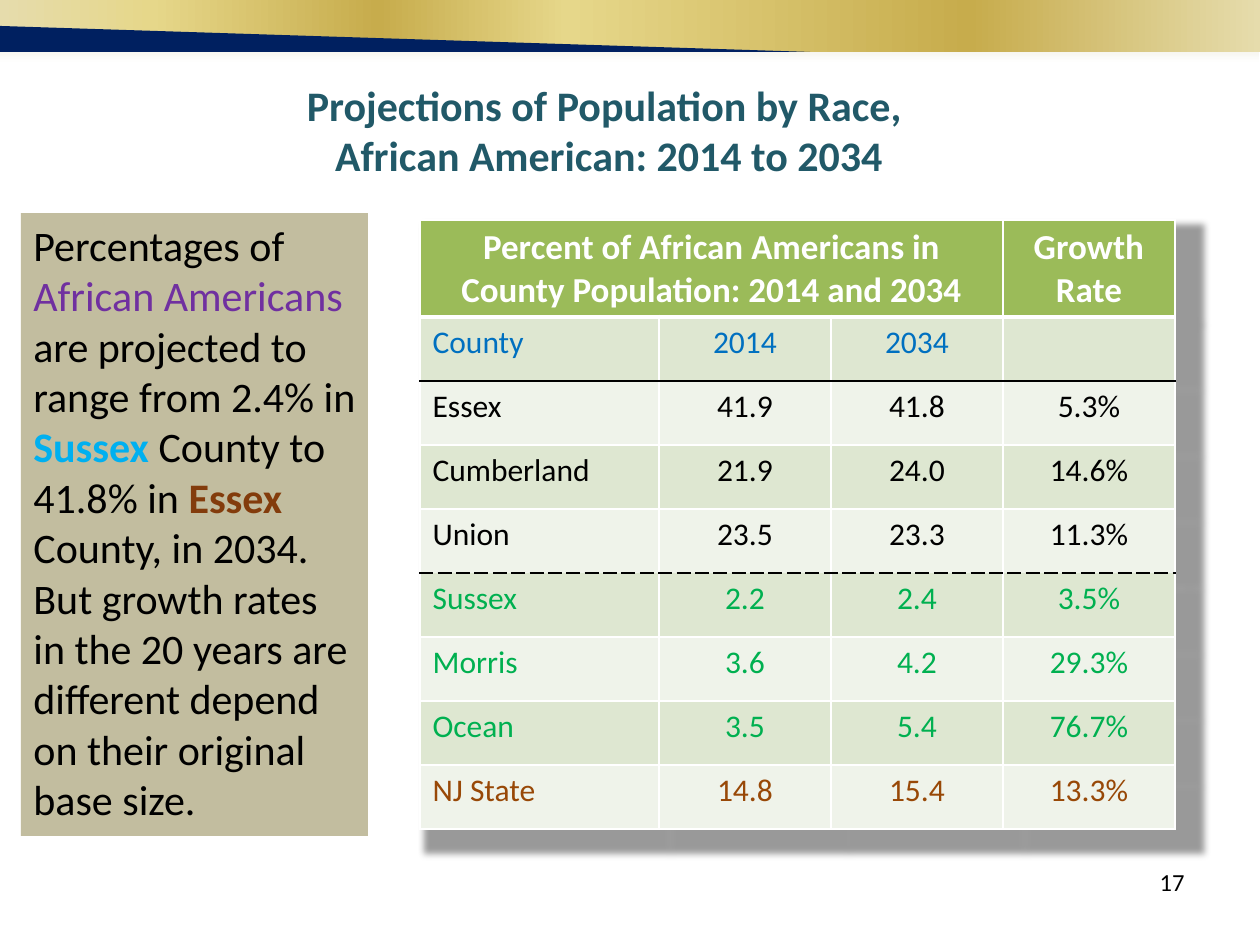
from lxml.etree import SubElement
from pptx import Presentation
from pptx.dml.color import RGBColor
from pptx.enum.shapes import MSO_SHAPE
from pptx.enum.text import MSO_ANCHOR, PP_ALIGN
from pptx.oxml.ns import qn
from pptx.util import Emu, Pt

EMU_PER_PX = 914400 / 126
COLORS = {
    "white": "FFFFFF", "black": "000000", "navy": "002060", "cream": "EEECE1",
    "gold_pale": "E6DCAC", "gold_light": "E6D78A", "gold_dark": "C7AC4C",
    "khaki": "948A54", "teal": "215968", "purple": "7030A0", "sky": "00B0F0",
    "brown": "833C0C", "rust": "984807", "blue": "0070C0", "green": "00B050",
    "header": "9BBB59", "band_dark": "DEE7D1", "band_light": "EFF3EA",
}


def px(n):
    return Emu(round(n * EMU_PER_PX))


def rgb(name):
    return RGBColor.from_string(COLORS[name])


def add_xml(parent, tag, **attrs):
    return SubElement(parent, qn(tag), {k: str(v) for k, v in attrs.items()})


def add_color(parent, name, alpha=None):
    clr = add_xml(parent, "a:srgbClr", val=COLORS[name])
    if alpha is not None:
        add_xml(clr, "a:alpha", val=alpha * 1000)


class SlideBuilder:
    font = "Calibri"

    def __init__(self, slide):
        self.s = slide

    def plain(self, sp, color=None):
        sp.shadow.inherit = False
        sp.line.fill.background()
        if color:
            sp.fill.solid()
            sp.fill.fore_color.rgb = rgb(color)
        return sp

    def rect(self, x, y, w, h, color=None, alpha=None):
        sp = self.s.shapes.add_shape(MSO_SHAPE.RECTANGLE, px(x), px(y), px(w), px(h))
        self.plain(sp, color)
        if alpha is not None:
            clr = sp._element.spPr.find(qn("a:solidFill"))[0]
            add_xml(clr, "a:alpha", val=alpha * 1000)
        return sp

    def gradient_rect(self, x, y, w, h, stops, angle):
        sp = self.rect(x, y, w, h)
        sp.fill.gradient()
        grad = sp._element.spPr.find(qn("a:gradFill"))
        for child in list(grad):
            grad.remove(child)
        gs_list = add_xml(grad, "a:gsLst")
        for pos, color in stops:
            add_color(add_xml(gs_list, "a:gs", pos=pos * 1000), color)
        add_xml(grad, "a:lin", ang=angle * 60000, scaled=0)

    def polygon(self, points, color):
        pts = [(px(x), px(y)) for x, y in points]
        fb = self.s.shapes.build_freeform(*pts[0], scale=1.0)
        fb.add_line_segments(pts[1:], close=True)
        self.plain(fb.convert_to_shape(), color)

    def add_runs(self, tf, paragraphs, size, align=PP_ALIGN.LEFT):
        """Each paragraph is a list of (text, color, bold) runs."""
        tf.word_wrap = True
        for i, runs in enumerate(paragraphs):
            p = tf.paragraphs[0] if i == 0 else tf.add_paragraph()
            p.alignment = align
            p.font.size = Pt(size)
            for text, color, bold in runs:
                r = p.add_run()
                r.text = text
                r.font.name = self.font
                r.font.size = Pt(size)
                r.font.bold = bold
                r.font.color.rgb = rgb(color)

    def text(self, x, y, w, h, paragraphs, size, align):
        sp = self.s.shapes.add_textbox(px(x), px(y), px(w), px(h))
        self.add_runs(sp.text_frame, paragraphs, size, align)

    def panel(self, x, y, w, h, color, alpha, paragraphs, size):
        sp = self.rect(x, y, w, h, color, alpha)
        sp.text_frame.vertical_anchor = MSO_ANCHOR.TOP
        self.add_runs(sp.text_frame, paragraphs, size)

    def cell(self, cell, text, size, color, bold, align, fill, top, bottom):
        if text:
            self.add_runs(cell.text_frame, [[(text, color, bold)]], size, align)
        else:
            cell.text_frame.paragraphs[0].font.size = Pt(size)
        tc_pr = cell._tc.get_or_add_tcPr()
        side = ("white", 1, "solid")
        for tag, (line, width, dash) in zip("LRTB", (side, side, top, bottom)):
            ln = add_xml(tc_pr, f"a:ln{tag}", w=Pt(width))
            add_color(add_xml(ln, "a:solidFill"), line)
            add_xml(ln, "a:prstDash", val=dash)
        cell.fill.solid()
        cell.fill.fore_color.rgb = rgb(fill)

    def table(self, x, y, widths, header_h, row_h, header, rows, rules):
        """header maps column to text; rules[i] is the line below row i."""
        heights = [header_h] + [row_h] * len(rows)
        t = self.s.shapes.add_table(len(heights), len(widths), px(x), px(y),
                                    px(sum(widths)), px(sum(heights))).table
        t.first_row = t.horz_banding = False
        for col, w in zip(t.columns, widths):
            col.width = px(w)
        for row, h in zip(t.rows, heights):
            row.height = px(h)
        thin = ("white", 1, "solid")
        for c in range(len(widths)):
            self.cell(t.cell(0, c), header.get(c), 20, "white", True,
                      PP_ALIGN.CENTER, "header", thin, rules[0])
        t.cell(0, 0).merge(t.cell(0, 2))
        for i, (color, values) in enumerate(rows, start=1):
            fill = "band_dark" if i % 2 else "band_light"
            for c, value in enumerate(values):
                align = PP_ALIGN.CENTER if c else PP_ALIGN.LEFT
                self.cell(t.cell(i, c), value, 18, color, False, align, fill,
                          rules.get(i - 1, thin), rules.get(i, thin))
        self.table_shadow(t)

    def table_shadow(self, t):
        tbl_pr = t._tbl.tblPr
        effects = add_xml(tbl_pr, "a:effectLst")
        tbl_pr.insert(0, effects)
        shadow = add_xml(effects, "a:outerShdw", blurRad=50800, dist=50800,
                         dir=2700000, sx=103000, sy=103000, algn="tl",
                         rotWithShape=0)
        add_color(shadow, "black", 40)


def main():
    prs = Presentation()
    prs.slide_width, prs.slide_height = px(1260), px(945)
    b = SlideBuilder(prs.slides.add_slide(prs.slide_layouts[6]))

    # Top band
    b.gradient_rect(0, 42, 1259, 21, [(0, "cream"), (100, "white")], 90)
    b.gradient_rect(0, 0, 1260, 52, [
        (0, "gold_pale"), (12, "gold_light"), (30, "gold_dark"),
        (45, "gold_light"), (77, "gold_dark"), (100, "gold_pale")], 0)
    b.polygon([(0, 26), (810, 52), (0, 52)], "navy")

    # Page number
    b.text(903, 861, 294, 66, [[("17", "black", False)]], 14, PP_ALIGN.RIGHT)

    # Commentary panel
    b.panel(21, 213, 347, 623, "khaki", 56, [[
        ("Percentages of ", "black", False),
        ("African Americans ", "purple", False),
        ("are projected to range from 2.4% in ", "black", False),
        ("Sussex ", "sky", True),
        ("County to 41.8% in ", "black", False),
        ("Essex ", "brown", True),
        ("County, in 2034. But growth rates in the 20 years are different "
         "depend on their original base size.", "black", False)]], 24)

    # Title
    b.text(147, 73, 924, 115, [
        [("Projections of Population by Race, ", "teal", True)],
        [("African American: 2014 to 2034", "teal", True)]], 24, PP_ALIGN.CENTER)

    # County table
    b.table(420, 220, [239, 172, 172, 172], 97, 64, {
        0: "Percent of African Americans in County Population: 2014 and 2034",
        3: "Growth Rate",
    }, [
        ("blue", ("County", "2014", "2034", "")),
        ("black", ("Essex", "41.9", "41.8", "5.3%")),
        ("black", ("Cumberland", "21.9", "24.0", "14.6%")),
        ("black", ("Union", "23.5", "23.3", "11.3%")),
        ("green", ("Sussex", "2.2", "2.4", "3.5%")),
        ("green", ("Morris", "3.6", "4.2", "29.3%")),
        ("green", ("Ocean", "3.5", "5.4", "76.7%")),
        ("rust", ("NJ State", "14.8", "15.4", "13.3%")),
    ], {0: ("white", 3, "solid"), 1: ("black", 1, "solid"), 4: ("black", 1, "dash")})

    prs.save("out.pptx")


if __name__ == "__main__":
    main()
